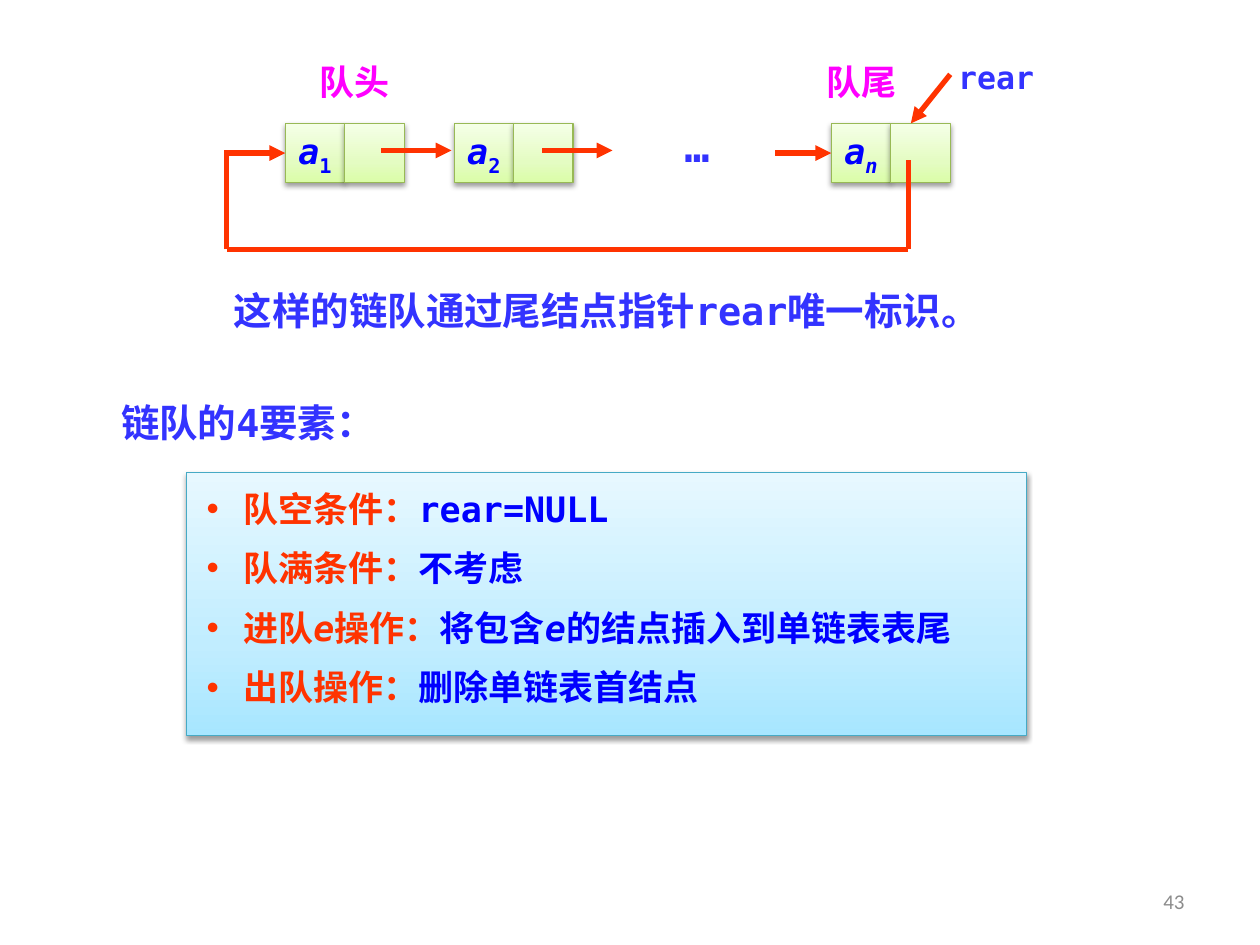
from copy import deepcopy

from pptx import Presentation
from pptx.dml.color import RGBColor
from pptx.enum.shapes import MSO_CONNECTOR as Connector, MSO_SHAPE as Preset
from pptx.enum.text import MSO_ANCHOR as Anchor, MSO_AUTO_SIZE as AutoSize, PP_ALIGN as Align
from pptx.oxml import parse_xml
from pptx.oxml.ns import nsdecls, qn
from pptx.util import Pt

THEME = {
    "font": "DejaVu Sans Mono", "number_font": "Calibri",
    "red": "FF3300", "blue": "0000FF", "violet": "3333FF", "pink": "FF00FF", "grey": "8C8C8C",
    "node": {"stops": [(0, "DAFDA7"), (0.35, "E4FCC2"), (1, "F5FFE7")], "line": "98B955"},
    "panel": {"stops": [(0, "A7E6FF"), (0.35, "C1EDFF"), (1, "E7F8FF")], "line": "46AAC5"},
    "number": 12, "pointer": 18, "body": 20, "heading": 22, "dots": 24,
    "edge": 0.75, "arrow": 3,
}

HEADING = ("链队的4要素：", (62, 224.5, 205, 34))
ELEMENTS = [
    [("队空条件：", "red"), ("rear=NULL", "blue")],
    [("队满条件：", "red"), ("不考虑", "blue")],
    [("进队", "red"), ("e", "red", True), ("操作：", "red"),
     ("将包含", "blue"), ("e", "blue", True), ("的结点插入到单链表表尾", "blue")],
    [("出队操作：", "red"), ("删除单链表首结点", "blue")],
]
PANEL_BOX = (106.5, 270, 480, 150.5)

NODES = [("1", False, 163), ("2", False, 259.5), ("n", True, 475)]
NODE_TOP, CELL = 70.5, 34

LABELS = [
    ("队头", (168.5, 31, 68.5, 31), "body", "pink"),
    ("队尾", (458, 31, 68.5, 31), "body", "pink"),
    ("rear", (538, 29.5, 62.5, 29), "pointer", "violet"),
    ("…", (367, 65.5, 62.5, 36), "dots", "violet"),
    ("这样的链队通过尾结点指针rear唯一标识。", (91.5, 160.5, 510.5, 34), "heading", "violet"),
]
PAGE_NUMBER = ("43", (516, 500.5, 168, 28.5))

ARROWS = [
    ((218, 86), (258, 86)),
    ((310, 86), (350, 86)),
    ((443, 87.5), (475, 87.5)),
    ((129, 87.5), (163, 87.5)),
    ((543, 42.5), (520.5, 70.5)),
]
RETURN_PATH = [(519, 91.5), (519, 142.5), (129.5, 142.5), (129.5, 86)]


def color(name):
    return RGBColor.from_string(THEME.get(name, name))


def add_span(para, text, size, tint, **extra):
    span = para.add_run()
    span.text = text
    look = {"name": THEME["font"], "size": Pt(THEME[size]), "bold": True, "italic": False, **extra}
    for key, value in look.items():
        setattr(span.font, key, value)
    span.font.color.rgb = color(tint)
    return span


def place(shape, box):
    for key, value in zip(("left", "top", "width", "height"), box):
        setattr(shape, key, Pt(value))


def set_frame(shape, **settings):
    for key, value in {"word_wrap": True, "auto_size": AutoSize.NONE, **settings}.items():
        setattr(shape.text_frame, key, value)
    return shape.text_frame.paragraphs[0]


def style_box(shape, look):
    shape.fill.gradient()
    shape.fill.gradient_angle = 90
    stop_list = shape._element.spPr.find(".//" + qn("a:gsLst"))
    stop_list.insert(1, deepcopy(stop_list[0]))
    for stop, (position, tint) in zip(shape.fill.gradient_stops, look["stops"]):
        stop.position = position
        stop.color.rgb = color(tint)
    shape.line.color.rgb = color(look["line"])
    shape.line.width = Pt(THEME["edge"])
    shape.shadow.inherit = False
    shape._element.spPr.find(qn("a:effectLst")).append(parse_xml(
        f'<a:outerShdw {nsdecls("a")} blurRad="{Pt(3.1)}" dist="{Pt(1.6)}" dir="5400000" rotWithShape="0">'
        '<a:srgbClr val="000000"><a:alpha val="38000"/></a:srgbClr></a:outerShdw>'))


def add_line(page, start, end, arrow=False):
    line = page.shapes.add_connector(Connector.STRAIGHT, *map(Pt, start + end))
    line.line.color.rgb = color("red")
    line.line.width = Pt(THEME["arrow"])
    if arrow:
        line.line._get_or_add_ln().append(parse_xml(f'<a:tailEnd {nsdecls("a")} type="triangle"/>'))
    line._element.spPr.append(parse_xml(f'<a:effectLst {nsdecls("a")}/>'))


def add_label(page, text, box, size, tint, align=Align.CENTER, anchor=Anchor.TOP, **extra):
    label = page.shapes.add_textbox(*map(Pt, box))
    para = set_frame(label, vertical_anchor=anchor)
    para.alignment = align
    add_span(para, text, size, tint, **extra)


def add_node(page, index, slanted, left):
    for offset in (0, CELL):
        cell = page.shapes.add_shape(Preset.RECTANGLE, *map(Pt, (left + offset, NODE_TOP, CELL, CELL)))
        style_box(cell, THEME["node"])
        if offset == 0:
            para = set_frame(cell, word_wrap=False, vertical_anchor=Anchor.MIDDLE)
            para.alignment = Align.CENTER
            add_span(para, "a", "body", "blue", italic=True)
            subscript = add_span(para, index, "body", "blue", italic=slanted)
            subscript.font._element.set("baseline", "-25000")


def fill_heading(title):
    text, box = HEADING
    place(title, box)
    para = set_frame(title, vertical_anchor=Anchor.TOP)
    para.alignment = Align.LEFT
    add_span(para, text, "heading", "violet")


def fill_panel(body):
    place(body, PANEL_BOX)
    style_box(body, THEME["panel"])
    set_frame(body, margin_left=Pt(11.5), margin_right=Pt(11.5),
              margin_top=Pt(8.5), margin_bottom=Pt(8.5), vertical_anchor=Anchor.TOP)
    for number, spans in enumerate(ELEMENTS):
        para = body.text_frame.add_paragraph() if number else body.text_frame.paragraphs[0]
        properties = para._element.get_or_add_pPr()
        properties.set("marL", str(Pt(21)))
        properties.set("indent", str(Pt(-21)))
        properties.append(parse_xml(f'<a:buFont {nsdecls("a")} typeface="Arial"/>'))
        properties.append(parse_xml(f'<a:buChar {nsdecls("a")} char="•"/>'))
        para.space_before = Pt(10 if number else 0)
        for text, tint, *slanted in spans:
            add_span(para, text, "body", tint, italic=bool(slanted))


def main():
    deck = Presentation()
    deck.slide_width, deck.slide_height = Pt(720), Pt(540)
    page = deck.slides.add_slide(deck.slide_layouts[1])
    fill_heading(page.shapes.title)
    fill_panel(page.placeholders[1])
    for node in NODES:
        add_node(page, *node)
    for start, end in ARROWS:
        add_line(page, start, end, arrow=True)
    for start, end in zip(RETURN_PATH, RETURN_PATH[1:]):
        add_line(page, start, end)
    for label in LABELS:
        add_label(page, *label)
    add_label(page, *PAGE_NUMBER, "number", "grey", Align.RIGHT, Anchor.MIDDLE,
              name=THEME["number_font"], bold=False)
    deck.save("out.pptx")


if __name__ == "__main__":
    main()
